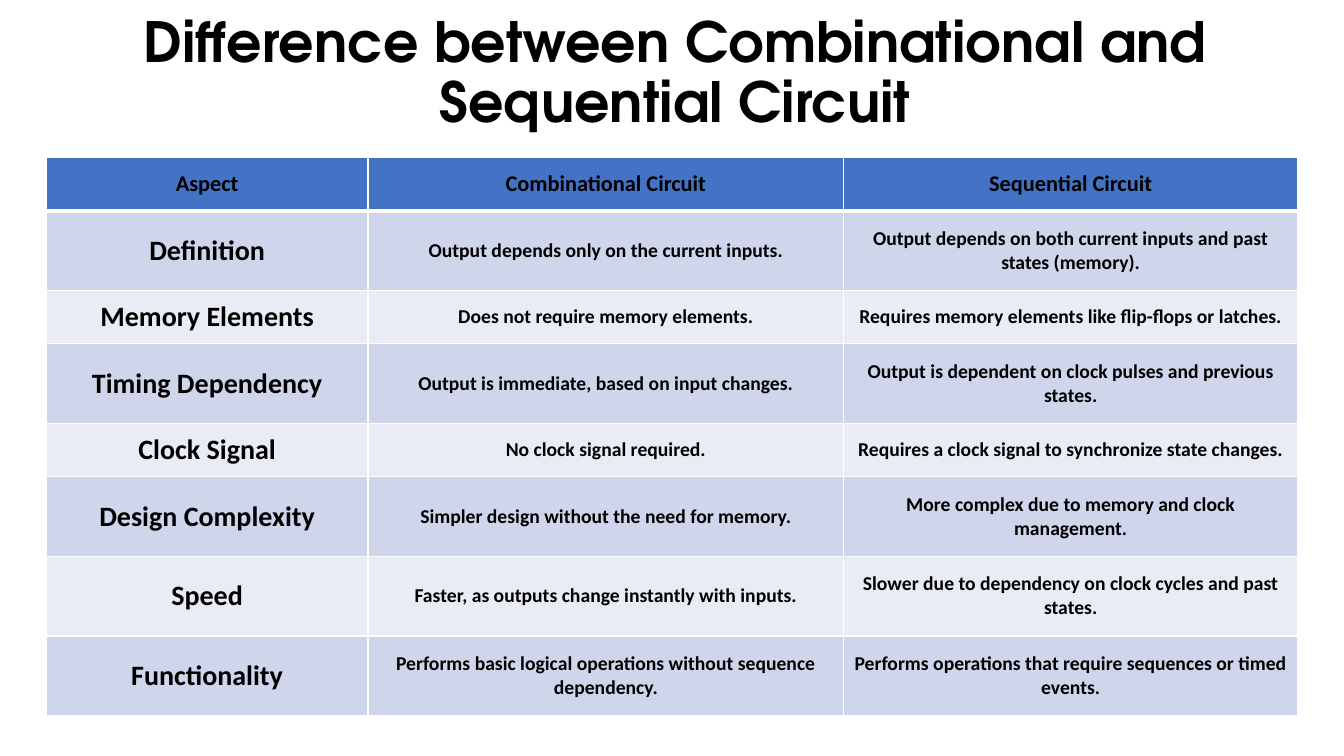
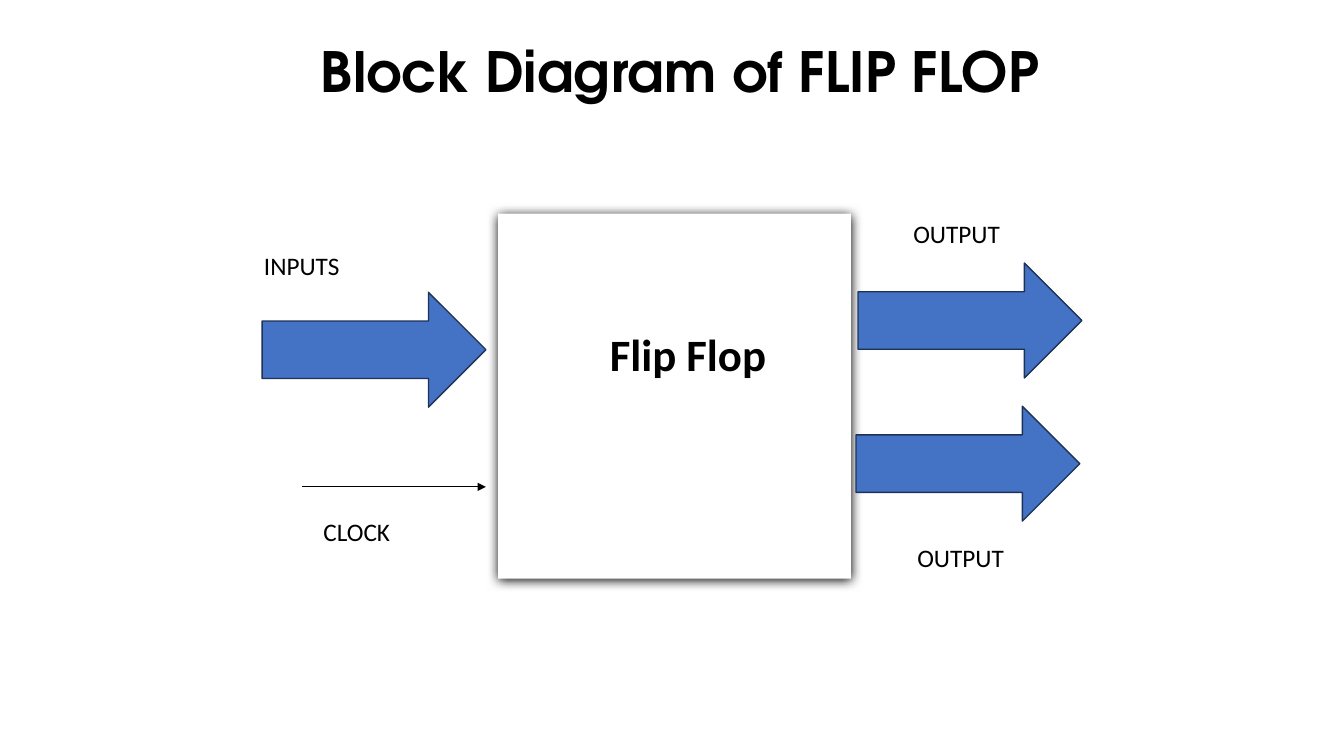
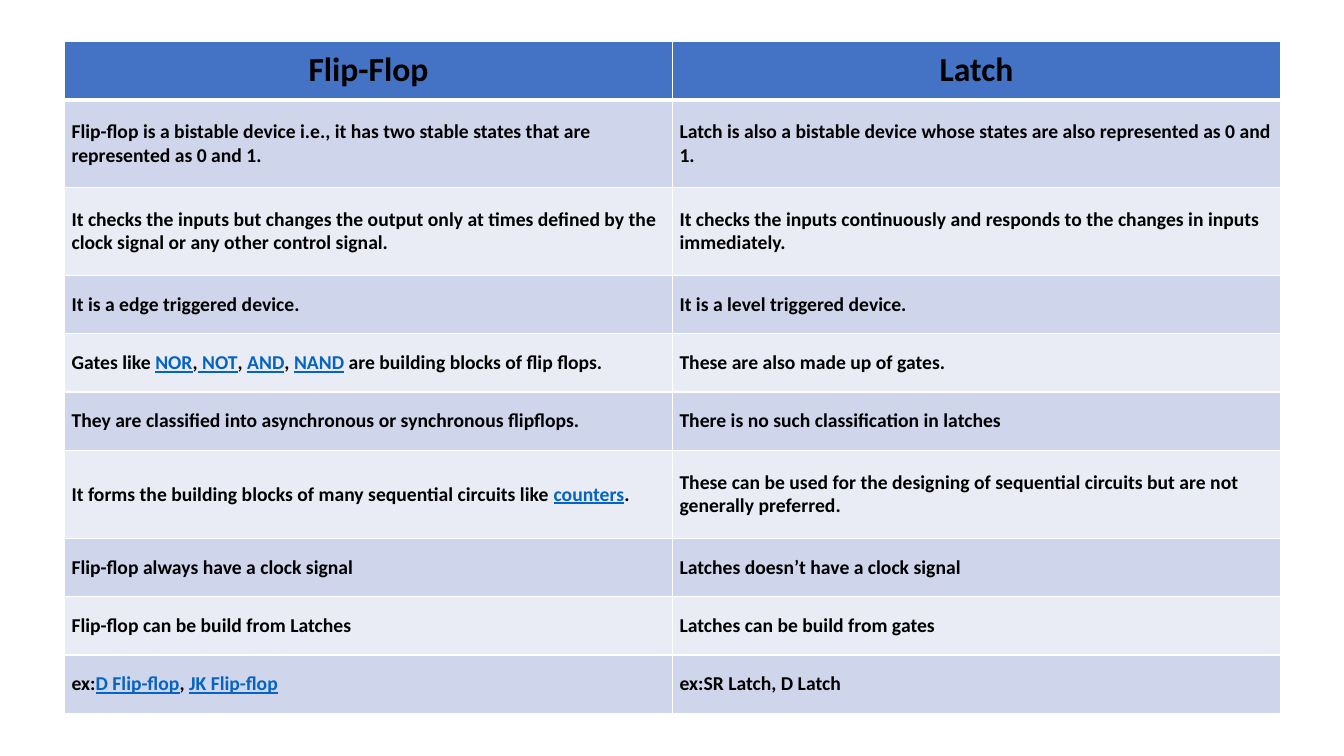
from lxml import etree
from pptx import Presentation
from pptx.dml.color import RGBColor
from pptx.enum.shapes import MSO_CONNECTOR, MSO_SHAPE
from pptx.enum.text import MSO_ANCHOR, PP_ALIGN
from pptx.oxml.ns import qn
from pptx.util import Pt

CENTER, LEFT = PP_ALIGN.CENTER, PP_ALIGN.LEFT
MIDDLE, TOP = MSO_ANCHOR.MIDDLE, MSO_ANCHOR.TOP
RECTANGLE, RIGHT_ARROW = MSO_SHAPE.RECTANGLE, MSO_SHAPE.RIGHT_ARROW
STRAIGHT = MSO_CONNECTOR.STRAIGHT

EMU_PER_PX = 9144
SLIDE_SIZE = (1333, 750)
COLORS = {
    "text": "000000",
    "white": "FFFFFF",
    "accent": "4472C4",
    "accent_edge": "1E3256",
    "band_dark": "CFD5EA",
    "band_light": "E9EBF5",
    "link": "0563C1",
}
BODY_FONT = "Calibri"
TITLE_FONT = "TeX Gyre Adventor"
TITLE_TOP, TITLE_HEIGHT, TITLE_SIZE = 9, 129, 39.6
LINK_MARK = "|"

CIRCUIT_TITLE = ("Difference between Combinational and Sequential Circuit", 32, 1275)
CIRCUIT_TABLE = {
    "at": (46, 156),
    "columns": [319, 472, 450],
    "heights": [53, 79, 53, 79, 53, 79, 79, 79],
    "header_size": 16,
    "column_sizes": [20, 14, 14],
    "column_insets": [(4, 4), (7, 10), (7, 10)],
    "align": CENTER,
    "rows": [
        ("Aspect", "Combinational Circuit", "Sequential Circuit"),
        ("Definition", "Output depends only on the current inputs.",
         "Output depends on both current inputs and past states (memory)."),
        ("Memory Elements", "Does not require memory elements.",
         "Requires memory elements like flip-flops or latches."),
        ("Timing Dependency", "Output is immediate, based on input changes.",
         "Output is dependent on clock pulses and previous states."),
        ("Clock Signal", "No clock signal required.",
         "Requires a clock signal to synchronize state changes."),
        ("Design Complexity", "Simpler design without the need for memory.",
         "More complex due to memory and clock management."),
        ("Speed", "Faster, as outputs change instantly with inputs.",
         "Slower due to dependency on clock cycles and past states."),
        ("Functionality", "Performs basic logical operations without sequence dependency.",
         "Performs operations that require sequences or timed events."),
    ],
}

DIAGRAM_TITLE = ("Block Diagram of FLIP FLOP", 45, 1259)
BLOCK = (494, 212, 350, 362)
ARROW_SIZE = (222, 114)
ARROWS = [(260, 290), (851, 261), (849, 403)]
CLOCK_LINE = (300, 483, 482, 483)
BLOCK_LABEL = ("Flip Flop", 595, 319, 235, 64)
LABEL_SIZE = (116, 40)
LABELS = [
    ("INPUTS", 252, 243),
    ("OUTPUT", 896, 212),
    ("CLOCK", 311, 507),
    ("OUTPUT", 900, 533),
]

LATCH_TABLE = {
    "at": (64, 41),
    "columns": [603, 603],
    "heights": [58, 87, 87, 58, 58, 58, 87, 58, 58, 58],
    "header_size": 24,
    "column_sizes": [14, 14],
    "column_insets": [(7, 10), (7, 10)],
    "align": LEFT,
    "rows": [
        ("Flip-Flop", "Latch"),
        ("Flip-flop is a bistable device i.e., it has two stable states that are "
         "represented as 0 and 1.",
         "Latch is also a bistable device whose states are also represented as 0 and 1."),
        ("It checks the inputs but changes the output only at times defined by the "
         "clock signal or any other control signal.",
         "It checks the inputs continuously and responds to the changes in inputs "
         "immediately."),
        ("It is a edge triggered device.", "It is a level triggered device."),
        ("Gates like |NOR|,| NOT|, |AND|, |NAND| are building blocks of flip flops.",
         "These are also made up of gates."),
        ("They are classified into asynchronous or synchronous flipflops.",
         "There is no such classification in latches"),
        ("It forms the building blocks of many sequential circuits like |counters|.",
         "These can be used for the designing of sequential circuits but are not "
         "generally preferred."),
        ("Flip-flop always have a clock signal", "Latches doesn’t have a clock signal"),
        ("Flip-flop can be build from Latches", "Latches can be build from gates"),
        ("ex:|D Flip-flop|, |JK Flip-flop|", "ex:SR Latch, D Latch"),
    ],
}


def px(*lengths):
    return [length * EMU_PER_PX for length in lengths]


def color(name):
    return RGBColor.from_string(COLORS[name])


def format_run(run, size, bold=False, font_name=BODY_FONT, color_name="text"):
    run.font.name = font_name
    run.font.size = Pt(size)
    run.font.bold = bold
    run.font.color.rgb = color(color_name)


def add_text(slide, text, box, size, bold=False, font_name=BODY_FONT,
             align=LEFT, anchor=TOP, line_spacing=None):
    text_frame = slide.shapes.add_textbox(*px(*box)).text_frame
    text_frame.word_wrap = True
    text_frame.vertical_anchor = anchor
    text_frame.text = text
    paragraph = text_frame.paragraphs[0]
    paragraph.alignment = align
    paragraph.line_spacing = line_spacing
    format_run(paragraph.runs[0], size, bold, font_name)


def add_title(slide, text, left, width):
    add_text(slide, text, (left, TITLE_TOP, width, TITLE_HEIGHT), TITLE_SIZE,
             True, TITLE_FONT, CENTER, MIDDLE, 0.9)


def add_color_fill(parent, name):
    fill = etree.SubElement(parent, qn("a:solidFill"))
    return etree.SubElement(fill, qn("a:srgbClr"), val=COLORS[name])


def set_borders(cell, top, bottom):
    properties = cell._tc.get_or_add_tcPr()
    for tag, width in (("lnL", 1), ("lnR", 1), ("lnT", top), ("lnB", bottom)):
        line = etree.SubElement(properties, qn("a:" + tag), w=str(Pt(width)))
        add_color_fill(line, "white")


def fill_cell(cell, text, size, align, insets, fill_name):
    cell.fill.solid()
    cell.fill.fore_color.rgb = color(fill_name)
    cell.vertical_anchor = MIDDLE
    side, end = px(*insets)
    cell.margin_left = cell.margin_right = side
    cell.margin_top = cell.margin_bottom = end
    paragraph = cell.text_frame.paragraphs[0]
    paragraph.alignment = align
    for index, part in enumerate(text.split(LINK_MARK)):
        run = paragraph.add_run()
        run.text = part
        is_link = index % 2 == 1
        format_run(run, size, True, color_name="link" if is_link else "text")
        if is_link:
            run.font.underline = True


def add_comparison(slide, data):
    columns, heights, rows = data["columns"], data["heights"], data["rows"]
    box = px(*data["at"], sum(columns), sum(heights))
    table = slide.shapes.add_table(len(rows), len(columns), *box).table
    for column, width in zip(table.columns, px(*columns)):
        column.width = width
    for row, height in zip(table.rows, px(*heights)):
        row.height = height
    for row_index, texts in enumerate(rows):
        for column_index, text in enumerate(texts):
            cell = table.cell(row_index, column_index)
            set_borders(cell, 3 if row_index == 1 else 1, 3 if row_index == 0 else 1)
            if row_index == 0:
                insets = (7 if column_index else 4, 7)
                fill_cell(cell, text, data["header_size"], CENTER, insets, "accent")
            else:
                band = "band_dark" if row_index % 2 else "band_light"
                fill_cell(cell, text, data["column_sizes"][column_index], data["align"],
                          data["column_insets"][column_index], band)


def add_filled_shape(slide, preset, box, fill_name):
    shape = slide.shapes.add_shape(preset, *px(*box))
    shape.shadow.inherit = False
    shape.fill.solid()
    shape.fill.fore_color.rgb = color(fill_name)
    return shape


def add_block(slide):
    block = add_filled_shape(slide, RECTANGLE, BLOCK, "white")
    block.line.fill.background()
    effects = block._element.spPr.find(qn("a:effectLst"))
    shadow = etree.SubElement(effects, qn("a:outerShdw"), blurRad=str(Pt(8.5)),
                              dist=str(Pt(1)), dir="5400000", algn="ctr", rotWithShape="0")
    etree.SubElement(shadow, qn("a:srgbClr"), val=COLORS["text"])


def add_block_arrow(slide, position):
    arrow = add_filled_shape(slide, RIGHT_ARROW, position + ARROW_SIZE, "accent")
    arrow.line.color.rgb = color("accent_edge")
    arrow.line.width = Pt(1)


def add_clock_line(slide):
    connector = slide.shapes.add_connector(STRAIGHT, *px(*CLOCK_LINE))
    connector.line.color.rgb = color("text")
    connector.line.width = Pt(0.5)
    etree.SubElement(connector.line._get_or_add_ln(), qn("a:tailEnd"), type="triangle")
    etree.SubElement(connector._element.spPr, qn("a:effectLst"))


def add_diagram(slide):
    add_block(slide)
    for position in ARROWS:
        add_block_arrow(slide, position)
    add_clock_line(slide)
    text, *box = BLOCK_LABEL
    add_text(slide, text, box, 32, True)
    for text, left, top in LABELS:
        add_text(slide, text, (left, top) + LABEL_SIZE, 18)


def main():
    presentation = Presentation()
    presentation.slide_width, presentation.slide_height = px(*SLIDE_SIZE)
    blank = presentation.slide_layouts[6]
    circuits, diagram, latches = [presentation.slides.add_slide(blank) for _ in range(3)]
    add_title(circuits, *CIRCUIT_TITLE)
    add_comparison(circuits, CIRCUIT_TABLE)
    add_title(diagram, *DIAGRAM_TITLE)
    add_diagram(diagram)
    add_comparison(latches, LATCH_TABLE)
    presentation.save("out.pptx")


if __name__ == "__main__":
    main()
